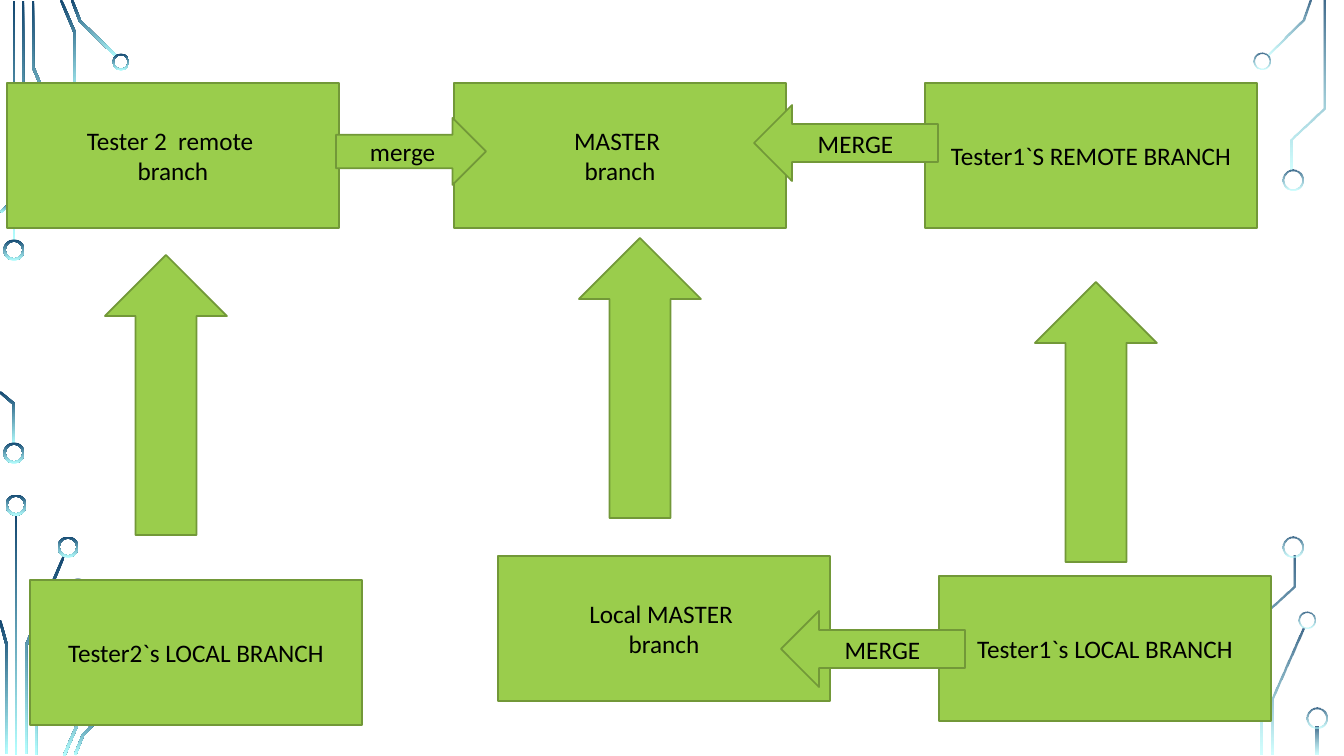
import math
from dataclasses import dataclass

import pptx
import pptx.dml.color
import pptx.enum.shapes
import pptx.enum.text
import pptx.oxml
import pptx.oxml.ns
import pptx.util

SCALE = 914400 / 100.8
KIND = pptx.enum.shapes.MSO_SHAPE


@dataclass(frozen=True)
class Theme:
    """Colours, type and line sizes of the slide."""
    green: str = "9ACD4C"
    edge: str = "729838"
    ink: str = "000000"
    dark: str = "134770"
    light: str = "B4FFFF"
    font: str = "Calibri"
    size: int = 18
    line: float = 1.25
    trace: float = 2.5


THEME = Theme()

# Trace paths and rings (centre x, centre y, diameter), from each region's corner
LEFT_PATHS = [
    [(14, 1), (14, 242)],
    [(23, 1), (23, 110), (62, 200)],
    [(33, 1), (33, 67), (72, 158)],
    [(61, 0), (75, 33), (75, 101)],
    [(72, 0), (80, 21), (117, 57)],
    [(1, 212), (14, 200)],
    [(0, 392), (14, 404), (14, 445)],
    [(16, 514), (16, 755)],
    [(64, 556), (26, 646), (26, 754)],
    [(0, 620), (7, 646), (7, 754)],
    [(74, 598), (36, 688), (36, 755)],
    [(78, 655), (78, 723), (64, 756)],
    [(119, 698), (83, 735), (75, 755)],
]
LEFT_RINGS = [(14, 250, 21), (14, 453, 21), (121, 62, 17),
              (16, 505, 21), (68, 547, 21), (78, 589, 21)]
RIGHT_PATHS = [
    [(60, 0), (53, 20), (17, 56)],
    [(53, 628), (23, 699), (23, 755)],
    [(74, 1), (74, 108), (42, 139), (42, 170)],
    [(44, 556), (44, 587), (12, 618), (12, 755)],
    [(67, 727), (67, 755)],
]
RIGHT_RINGS = [(12, 61, 17), (43, 180, 21), (57, 620, 17),
               (43, 547, 21), (67, 718, 21)]

BOX, UP, SIDE, SHORT = (332, 145), (122, 280), (184, 76), (150, 67)
FLOW = [
    (KIND.RECTANGLE, (925, 83), BOX, "Tester1`S REMOTE BRANCH"),
    (KIND.RECTANGLE, (939, 576), BOX, "Tester1`s LOCAL BRANCH"),
    (KIND.UP_ARROW, (1035, 282), UP, ""),
    (KIND.RECTANGLE, (454, 83), BOX, "MASTER \nbranch"),
    (KIND.LEFT_ARROW, (754, 105), SIDE, "MERGE"),
    (KIND.UP_ARROW, (105, 255), UP, ""),
    (KIND.RECTANGLE, (7, 83), BOX, "Tester 2  remote \nbranch"),
    (KIND.RIGHT_ARROW, (336, 118), SHORT, "merge"),
    (KIND.RECTANGLE, (30, 580), BOX, "Tester2`s LOCAL BRANCH"),
    (KIND.RECTANGLE, (498, 556), BOX, "Local MASTER \nbranch"),
    (KIND.LEFT_ARROW, (781, 611), SIDE, "MERGE"),
    (KIND.UP_ARROW, (579, 238), UP, ""),
]


def px(count):
    """Turn pixels into EMU."""
    return pptx.util.Emu(round(count * SCALE))


def rgb(code):
    """Turn a hex code into a colour."""
    return pptx.dml.color.RGBColor.from_string(code)


def shade(shape, alphas):
    """Fill a trace or ring from dark at the top to light at the bottom."""
    shape.shadow.inherit = False
    shape.line.fill.background()
    shape.fill.gradient()
    shape.fill.gradient_angle = 270
    tones = (THEME.dark, THEME.light)
    for stop, tone, place, alpha in zip(
            shape.fill.gradient_stops, tones, (0, 1), alphas):
        stop.color.rgb = rgb(tone)
        stop.position = place
    tag = pptx.oxml.ns.qn("a:srgbClr")
    for node, alpha in zip(shape.element.spPr.iter(tag), alphas):
        if alpha < 100:
            part = pptx.oxml.parse_xml(
                f'<a:alpha {pptx.oxml.ns.nsdecls("a")} val="{alpha * 1000}"/>')
            node.append(part)


def band(points, width):
    """Return the outline of a mitred band along a path."""
    norms = []
    for (ax, ay), (bx, by) in zip(points, points[1:]):
        span = math.hypot(bx - ax, by - ay)
        norms.append(((ay - by) / span, (bx - ax) / span))
    near, far = [], []
    for (x, y), one, two in zip(points, norms[:1] + norms, norms + norms[-1:]):
        grow = width / 2 / (1 + one[0] * two[0] + one[1] * two[1])
        dx, dy = (one[0] + two[0]) * grow, (one[1] + two[1]) * grow
        near.append((x + dx, y + dy))
        far.append((x - dx, y - dy))
    return near + far[::-1]


def draw_traces(slide, box, paths, rings, alphas):
    """Draw one side's circuit traces and end rings inside its box."""
    left, top, _, _ = box
    for path in paths:
        edge = [(px(left + x), px(top + y)) for x, y in band(path, THEME.trace)]
        pen = slide.shapes.build_freeform(*edge[0], scale=1.0)
        pen.add_line_segments(edge[1:], close=True)
        shade(pen.convert_to_shape(), alphas)
    for x, y, size in rings:
        ring = slide.shapes.add_shape(
            KIND.DONUT, px(left + x - size / 2), px(top + y - size / 2),
            px(size), px(size))
        ring.adjustments[0] = 0.1
        shade(ring, alphas)


def draw_flow(slide, box, parts):
    """Draw the branch boxes and merge arrows inside their box."""
    left, top, _, _ = box
    for kind, (x, y), (wide, high), text in parts:
        shape = slide.shapes.add_shape(
            kind, px(left + x), px(top + y), px(wide), px(high))
        shape.shadow.inherit = False
        shape.fill.solid()
        shape.fill.fore_color.rgb = rgb(THEME.green)
        shape.line.color.rgb = rgb(THEME.edge)
        shape.line.width = pptx.util.Pt(THEME.line)
        frame = shape.text_frame
        frame.text = text
        frame.word_wrap = True
        frame.vertical_anchor = pptx.enum.text.MSO_ANCHOR.MIDDLE
        for para in frame.paragraphs:
            para.alignment = pptx.enum.text.PP_ALIGN.CENTER
            for run in para.runs:
                run.font.name = THEME.font
                run.font.size = pptx.util.Pt(THEME.size)
                run.font.color.rgb = rgb(THEME.ink)


def main():
    """Build the branch flow slide and save it."""
    deck = pptx.Presentation()
    deck.slide_width, deck.slide_height = px(1344), px(756)
    slide = deck.slides.add_slide(deck.slide_layouts[6])
    draw_traces(slide, (0, 0, 132, 756), LEFT_PATHS, LEFT_RINGS, (100, 100))
    draw_traces(slide, (1250, 0, 94, 756), RIGHT_PATHS, RIGHT_RINGS, (80, 60))
    draw_flow(slide, (0, 0, 1344, 756), FLOW)
    deck.save("out.pptx")


main()
